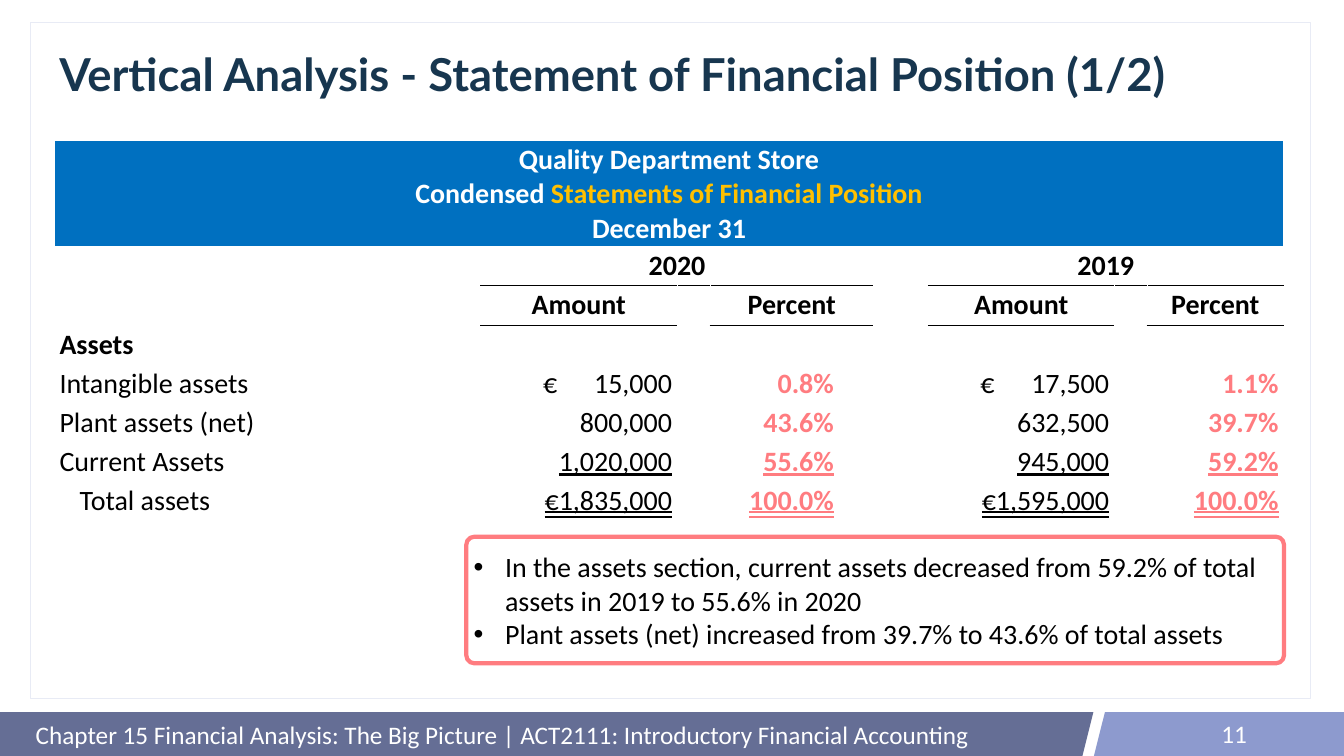
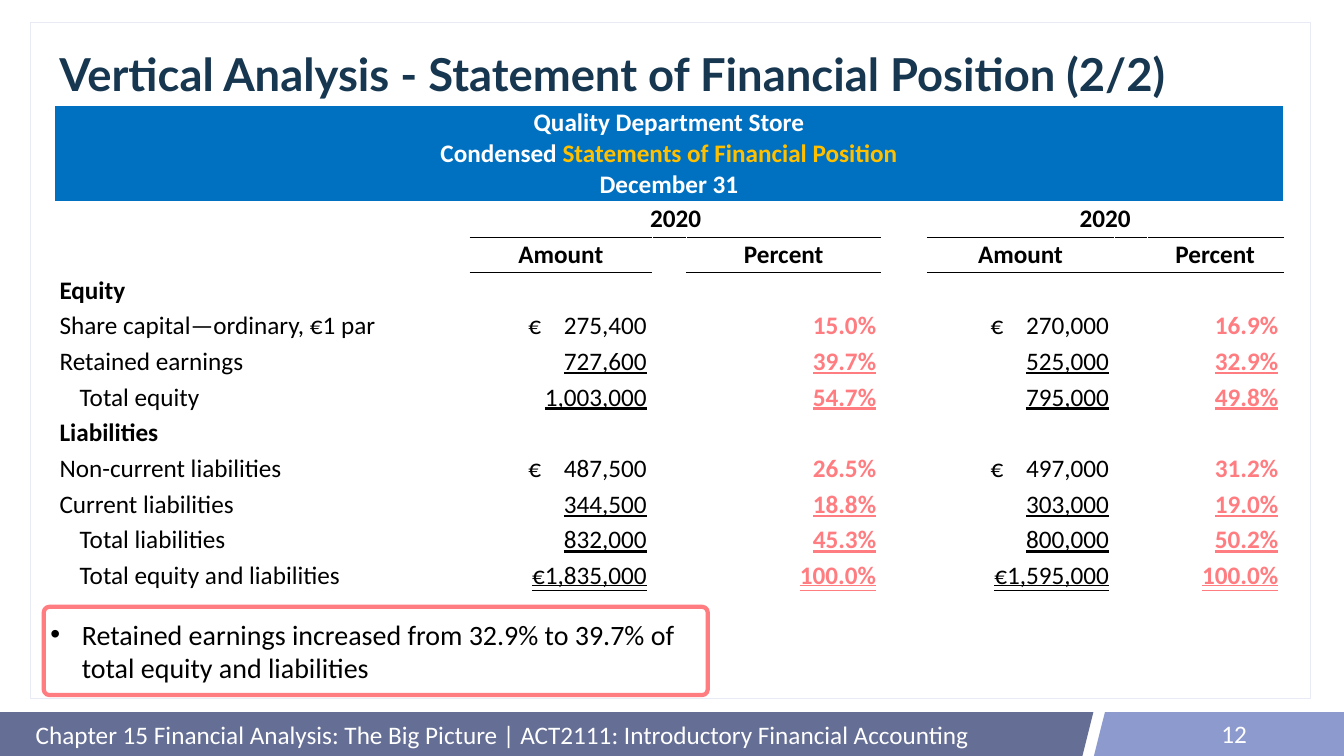
import pptx
import pptx.dml.color
import pptx.enum.shapes
import pptx.enum.text
import pptx.oxml.ns
import pptx.util
from lxml import etree

Pt = pptx.util.Pt
Align = pptx.enum.text.PP_ALIGN
Anchor = pptx.enum.text.MSO_ANCHOR
Shape = pptx.enum.shapes.MSO_SHAPE
qn = pptx.oxml.ns.qn

BLACK, WHITE = "000000", "FFFFFF"
NAVY, BLUE, GOLD, CORAL = "17364F", "0070C0", "FFC000", "FF7C80"
SLATE, LAVENDER, PALE = "656E95", "8D9ACE", "E8EBF5"
BODY_FONT, TITLE_FONT = "Calibri", "Lato"

FOOTER = ("Chapter 15 Financial Analysis: The Big Picture | "
          "ACT2111: Introductory Financial Accounting")
FOOTER_TOP, FOOTER_HEIGHT = 1017.4, 62.6
TABLE_LEFT = 77.8
CELL_MARGIN = 7.2
INDENT = 28.8
VALUE_COLUMNS = (1, 3, 5, 7)
YEAR_SPANS = ((1, 3), (5, 7))

# Each row: label, style, then amount and percent for both years.
# Styles: heading, item, last (item above a total), subtotal, total.
ASSETS = [
    ("Assets", "heading"),
    ("Intangible assets", "item", "€\t15,000", "0.8%", "€\t17,500", "1.1%"),
    ("Plant assets (net)", "item", "800,000", "43.6%", "632,500", "39.7%"),
    ("Current Assets", "last", "1,020,000", "55.6%", "945,000", "59.2%"),
    ("Total assets", "total", "€1,835,000", "100.0%", "€1,595,000", "100.0%"),
]
EQUITY_AND_LIABILITIES = [
    ("Equity", "heading"),
    ("Share capital—ordinary, €1 par", "item",
     "€\t275,400", "15.0%", "€\t270,000", "16.9%"),
    ("Retained earnings", "last", "727,600", "39.7%", "525,000", "32.9%"),
    ("Total equity", "subtotal", "1,003,000", "54.7%", "795,000", "49.8%"),
    ("Liabilities", "heading"),
    ("Non-current liabilities", "item",
     "€\t487,500", "26.5%", "€\t497,000", "31.2%"),
    ("Current liabilities", "last", "344,500", "18.8%", "303,000", "19.0%"),
    ("Total liabilities", "subtotal", "832,000", "45.3%", "800,000", "50.2%"),
    ("Total equity and liabilities", "total",
     "€1,835,000", "100.0%", "€1,595,000", "100.0%"),
]
UNDERLINES = {
    "last": True,
    "subtotal": True,
    "total": pptx.enum.text.MSO_UNDERLINE.DOUBLE_LINE,
}


def rgb(hex_color):
    return pptx.dml.color.RGBColor.from_string(hex_color)


def set_font(paragraph, size, color, bold=False, name=BODY_FONT):
    font = paragraph.font
    font.name = name
    font.size = Pt(size)
    font.bold = bold
    font.color.rgb = rgb(color)


def add_shape(slide, kind, left, top, width, height, fill, line=None, line_width=1):
    shape = slide.shapes.add_shape(kind, Pt(left), Pt(top), Pt(width), Pt(height))
    shape.shadow.inherit = False
    shape.fill.solid()
    shape.fill.fore_color.rgb = rgb(fill)
    if line:
        shape.line.color.rgb = rgb(line)
        shape.line.width = Pt(line_width)
    else:
        shape.line.fill.background()
    return shape


def add_text(slide, text, left, top, width, height, size, color,
             align=Align.LEFT, **font):
    box = slide.shapes.add_textbox(Pt(left), Pt(top), Pt(width), Pt(height))
    box.text_frame.word_wrap = True
    box.text_frame.vertical_anchor = Anchor.MIDDLE
    paragraph = box.text_frame.paragraphs[0]
    paragraph.text = text
    paragraph.alignment = align
    set_font(paragraph, size, color, **font)
    return paragraph


def add_base_slide(presentation, title, number):
    """Add a slide with the frame, the title and the footer band."""
    slide = presentation.slides.add_slide(presentation.slide_layouts[6])
    for kind, left, width, color in (
        (Shape.RECTANGLE, 0, 1436.4, SLATE),
        (Shape.PARALLELOGRAM, 1252, 309.6, SLATE),
        (Shape.PARALLELOGRAM, 1562.4, 309.6, LAVENDER),
        (Shape.RECTANGLE, 1610.6, 308.9, LAVENDER),
    ):
        add_shape(slide, kind, left, FOOTER_TOP, width, FOOTER_HEIGHT, color)
    frame = add_shape(slide, Shape.RECTANGLE, 43.9, 31.7, 1828, 965.5, WHITE, PALE)
    fill_color = frame.fill._xPr.find(qn("a:solidFill"))[0]
    etree.SubElement(fill_color, qn("a:alpha"), val="85000")

    heading = add_text(slide, title, TABLE_LEFT, 57.6, 1756, 104.4, 64.8, NAVY,
                       bold=True, name=TITLE_FONT)
    heading.line_spacing = 0.9
    add_text(slide, FOOTER, 43.9, 1018.8, 1483.2, 61.2, 36, WHITE)
    add_text(slide, str(number), 1355.8, 1018.8, 432, 57.6, 36, WHITE, Align.RIGHT)
    return slide


def add_callout(slide, left, top, width, height, points):
    callout = add_shape(slide, Shape.ROUNDED_RECTANGLE, left, top, width, height,
                        WHITE, CORAL, 6)
    callout.adjustments[0] = 0.062
    frame = callout.text_frame
    frame.word_wrap = True
    frame.vertical_anchor = Anchor.MIDDLE
    for index, point in enumerate(points):
        paragraph = frame.add_paragraph() if index else frame.paragraphs[0]
        paragraph.text = point
        paragraph.alignment = Align.LEFT
        properties = paragraph._p.get_or_add_pPr()
        properties.set("marL", str(Pt(45)))
        properties.set("indent", str(-Pt(45)))
        etree.SubElement(properties, qn("a:buFont"), typeface="Arial")
        etree.SubElement(properties, qn("a:buChar"), char="•")
        set_font(paragraph, 40, BLACK)


def style_cell(cell, top=WHITE, bottom=WHITE, fill=None):
    properties = cell._tc.get_or_add_tcPr()
    for side, color in (("L", WHITE), ("R", WHITE), ("T", top), ("B", bottom)):
        line = etree.SubElement(properties, qn(f"a:ln{side}"), w=str(Pt(1)))
        solid = etree.SubElement(line, qn("a:solidFill"))
        etree.SubElement(solid, qn("a:srgbClr"), val=color)
    if fill:
        cell.fill.solid()
        cell.fill.fore_color.rgb = rgb(fill)
    else:
        cell.fill.background()


def write_cell(cell, text, size, align=Align.LEFT, color=BLACK, bold=False,
               underline=None, indent=0):
    paragraph = cell.text_frame.paragraphs[0]
    paragraph.text = text
    paragraph.alignment = align
    if indent:
        paragraph._p.get_or_add_pPr().set("marL", str(Pt(indent)))
    set_font(paragraph, size, color, bold)
    paragraph.font.underline = underline


def write_euro_amount(cell, text, size, column_width, amount_width):
    """Put the euro sign at the left of the amount and the digits at its right."""
    cell.margin_left = Pt(column_width - amount_width - CELL_MARGIN)
    cell.margin_right = Pt(CELL_MARGIN - 1)
    properties = cell.text_frame.paragraphs[0]._p.get_or_add_pPr()
    tabs = etree.SubElement(properties, qn("a:tabLst"))
    etree.SubElement(tabs, qn("a:tab"), pos=str(Pt(amount_width)), algn="r")
    write_cell(cell, text, size)


def write_banner(cell, size):
    frame = cell.text_frame
    lines = (("Quality Department Store",),
             ("Condensed ", "Statements of Financial Position"),
             ("December 31",))
    for index, parts in enumerate(lines):
        paragraph = frame.add_paragraph() if index else frame.paragraphs[0]
        paragraph.alignment = Align.CENTER
        set_font(paragraph, size, WHITE, True)
        for part in parts:
            paragraph.add_run().text = part
    frame.paragraphs[1].runs[1].font.color.rgb = rgb(GOLD)


def add_statement(slide, top, widths, banner_height, row_height, size, years, rows,
                  amount_width, ruled_columns=VALUE_COLUMNS, percent_margin=CELL_MARGIN):
    """Add a statement; percent_margin is the right margin of the first percents."""
    table = slide.shapes.add_table(
        len(rows) + 3, len(widths), Pt(TABLE_LEFT), Pt(top), Pt(sum(widths)),
        Pt(banner_height + row_height * (len(rows) + 2))).table
    table.first_row = table.horz_banding = False
    for column, width in zip(table.columns, widths):
        column.width = Pt(width)
    for index, row in enumerate(table.rows):
        row.height = Pt(row_height if index else banner_height)

    year_columns = {column for first, last in YEAR_SPANS
                    for column in range(first, last + 1)}
    ruled_below = {1: year_columns, 2: ruled_columns}
    for row in range(len(rows) + 3):
        for column in range(len(widths)):
            style_cell(
                table.cell(row, column),
                top=BLACK if column in ruled_below.get(row - 1, ()) else WHITE,
                bottom=BLACK if column in ruled_below.get(row, ()) else WHITE,
                fill=None if row else BLUE)

    table.cell(0, 0).merge(table.cell(0, len(widths) - 1))
    write_banner(table.cell(0, 0), size)
    for year, (first, last) in zip(years, YEAR_SPANS):
        table.cell(1, first).merge(table.cell(1, last))
        write_cell(table.cell(1, first), year, size, Align.CENTER, bold=True)
    for column, text in zip(VALUE_COLUMNS, ("Amount", "Percent") * 2):
        write_cell(table.cell(2, column), text, size, Align.CENTER, bold=True)

    for row, (label, style, *values) in enumerate(rows, start=3):
        write_cell(table.cell(row, 0), label, size, bold=style == "heading",
                   indent=INDENT if style in ("subtotal", "total") else 0)
        for column, value in zip(VALUE_COLUMNS, values):
            cell = table.cell(row, column)
            if "\t" in value:
                write_euro_amount(cell, value, size, widths[column], amount_width)
                continue
            percent = value.endswith("%")
            if column == 3:
                cell.margin_right = Pt(percent_margin)
            write_cell(cell, value, size, Align.RIGHT, CORAL if percent else BLACK,
                       percent, UNDERLINES.get(style))


def main():
    presentation = pptx.Presentation()
    presentation.slide_width = Pt(1919.52)
    presentation.slide_height = Pt(1080)
    title = "Vertical Analysis - Statement of Financial Position"

    slide = add_base_slide(presentation, f"{title} (1/2)", 11)
    add_statement(slide, 201, (608.4, 280.8, 46.8, 234, 77.8, 265.7, 46.8, 195.1),
                  146, 56, 40, ("2020", "2019"), ASSETS, 184, percent_margin=57)
    add_callout(slide, 666, 766.8, 1167.8, 180.7, (
        "In the assets section, current assets decreased from 59.2% of total "
        "assets in 2019 to 55.6% in 2020",
        "Plant assets (net) increased from 39.7% to 43.6% of total assets"))

    slide = add_base_slide(presentation, f"{title} (2/2)", 12)
    add_statement(slide, 150.5, (593.3, 259.9, 49, 278.6, 65.5, 267.1, 46.8, 195.1),
                  130, 51, 36, ("2020", "2020"), EQUITY_AND_LIABILITIES, 169,
                  ruled_columns=(1, 3, 5, 6, 7))
    add_callout(slide, 62.6, 866.9, 948.2, 126, (
        "Retained earnings increased from 32.9% to 39.7% of "
        "total equity and liabilities",))

    presentation.save("out.pptx")


if __name__ == "__main__":
    main()
